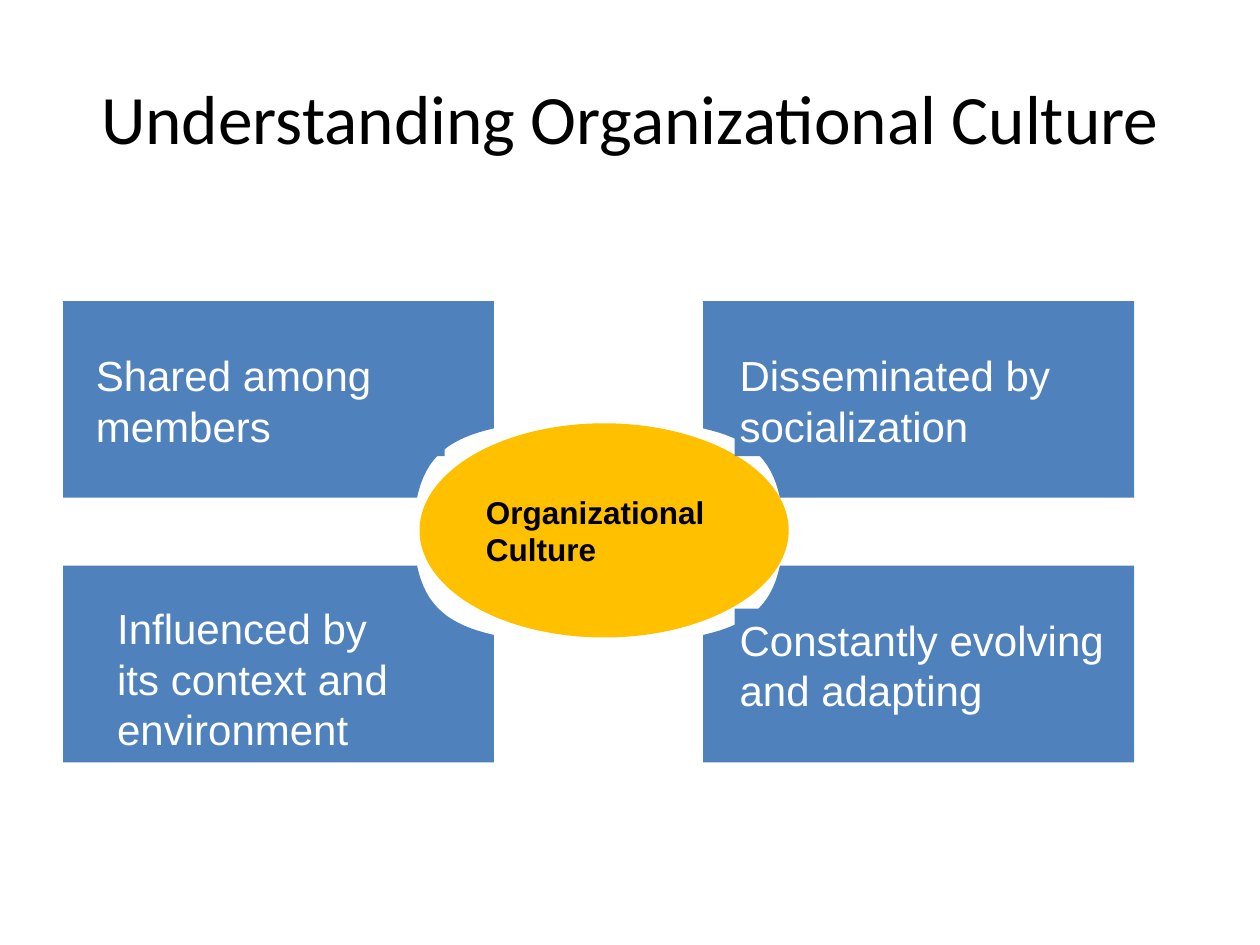
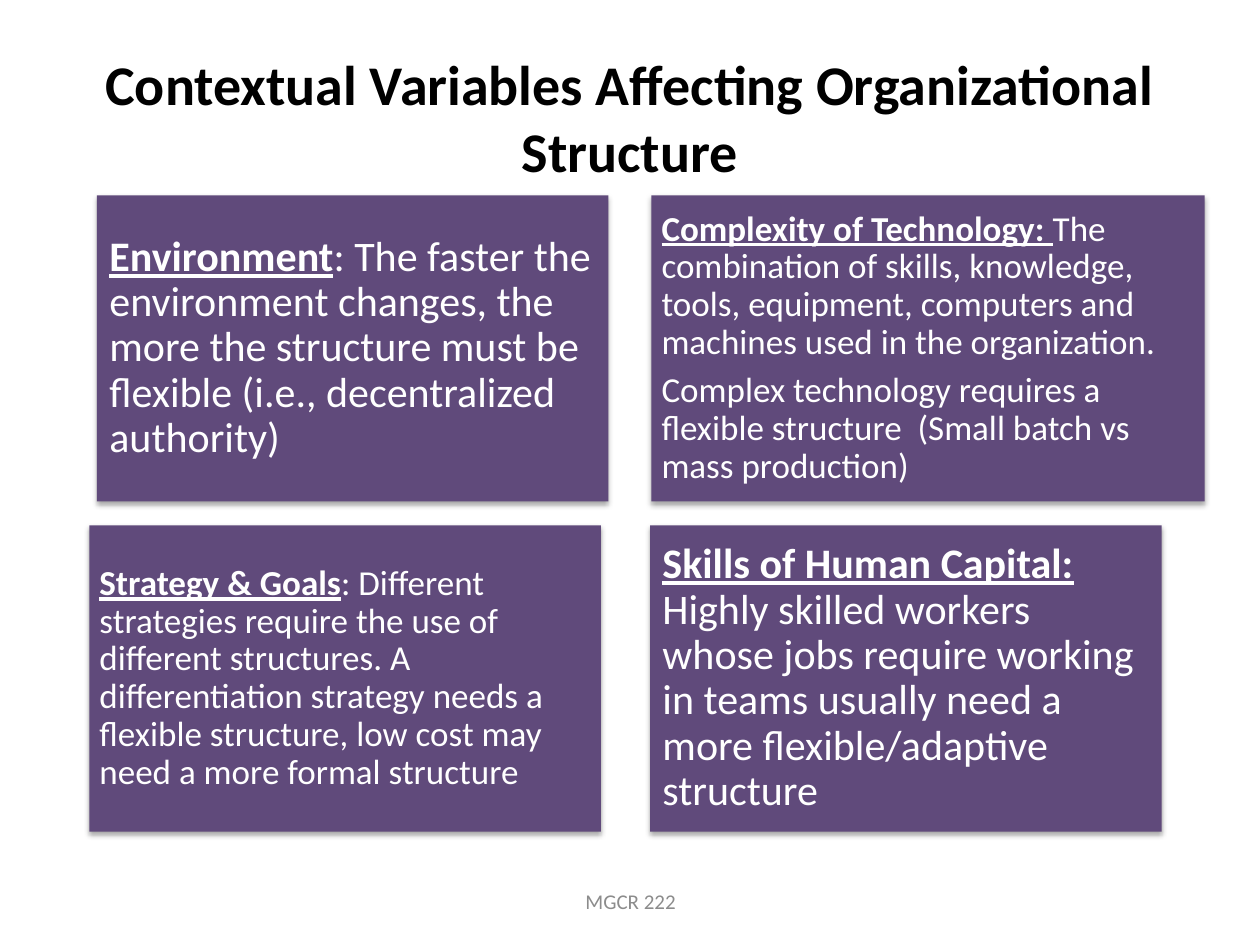
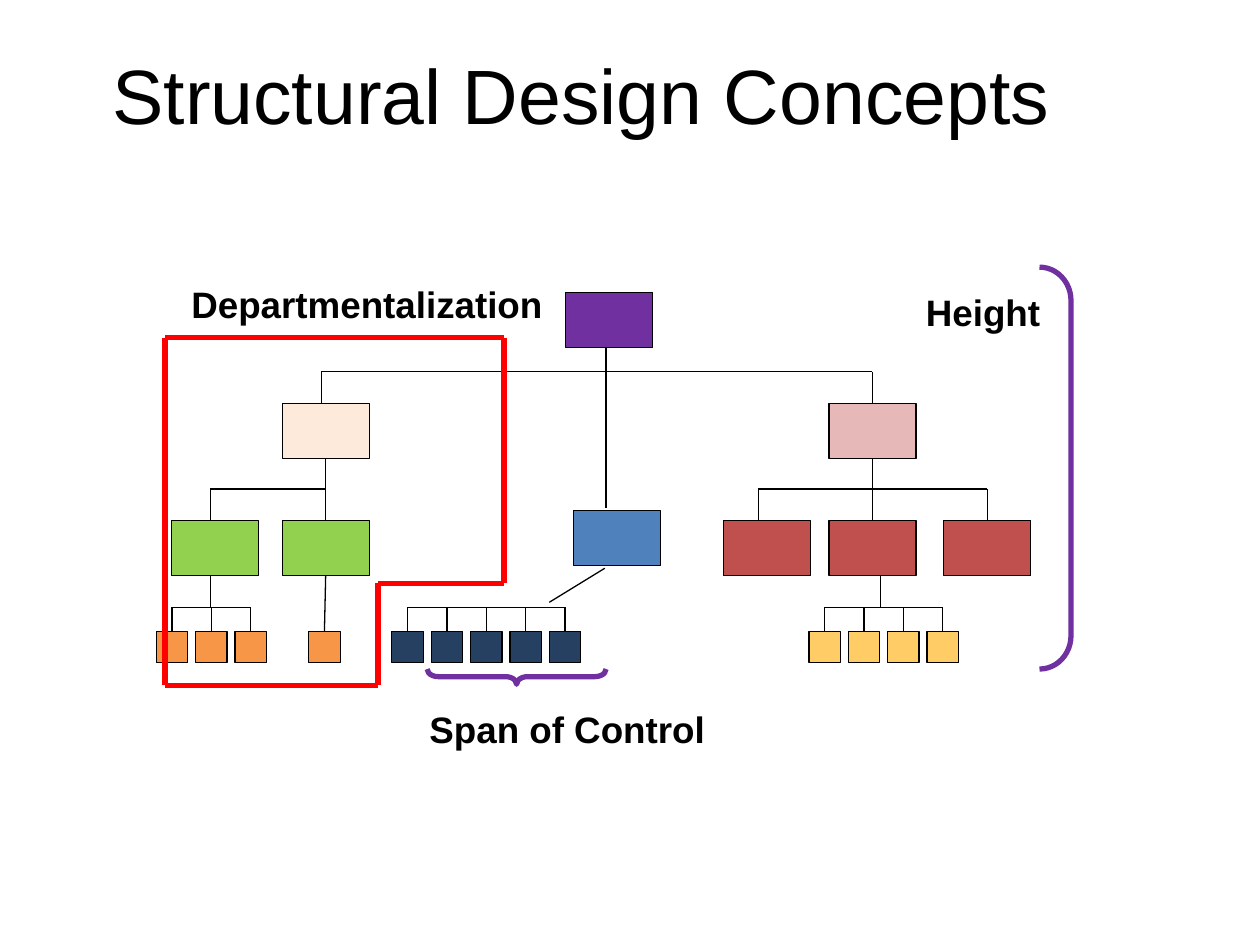
from dataclasses import dataclass
from itertools import pairwise

from lxml import etree
from pptx import Presentation
from pptx.dml.color import RGBColor
from pptx.enum.shapes import MSO_CONNECTOR, MSO_SHAPE
from pptx.enum.text import MSO_ANCHOR, MSO_AUTO_SIZE, PP_ALIGN
from pptx.oxml import parse_xml
from pptx.oxml.ns import nsdecls, qn
from pptx.presentation import Presentation as Deck
from pptx.shapes.autoshape import Shape
from pptx.shapes.base import BaseShape
from pptx.slide import Slide
from pptx.util import Inches, Pt

BLACK = RGBColor(0x00, 0x00, 0x00)
WHITE = RGBColor(0xFF, 0xFF, 0xFF)
GRAY = RGBColor(0x8C, 0x8C, 0x8C)
BLUE = RGBColor(0x4F, 0x81, 0xBD)
GOLD = RGBColor(0xFF, 0xC0, 0x00)
PLUM = RGBColor(0x60, 0x4A, 0x7B)
PURPLE = RGBColor(0x70, 0x30, 0xA0)
PEACH = RGBColor(0xFD, 0xEA, 0xDA)
PINK = RGBColor(0xE6, 0xB9, 0xB8)
GREEN = RGBColor(0x92, 0xD0, 0x50)
BRICK = RGBColor(0xC0, 0x50, 0x4D)
ORANGE = RGBColor(0xF7, 0x96, 0x46)
NAVY = RGBColor(0x25, 0x40, 0x61)
YELLOW = RGBColor(0xFF, 0xCC, 0x66)
RED = RGBColor(0xFF, 0x00, 0x00)

Point = tuple[float, float]
Box = tuple[float, float, float, float]
Paragraph = str | tuple[str, str]  # a pair is an underlined heading and its text

TITLE_BOX: Box = (0.5, 0.3, 9, 1.25)
TOP, BOTTOM = 0, 2  # connection sites of a rectangle


@dataclass(frozen=True)
class Trait:
    text: str
    box: Box


@dataclass(frozen=True)
class Variable:
    paragraphs: tuple[Paragraph, ...]
    box: Box
    size: int
    inset: float


@dataclass(frozen=True)
class Caption:
    text: str
    box: Box


TRAITS = (
    Trait("Shared among members", (0.72, 2.73, 2.81, 0.89)),
    Trait("Disseminated by socialization", (5.83, 2.73, 3.17, 0.89)),
    Trait("Constantly evolving and adapting", (5.83, 4.83, 3.17, 0.89)),
    Trait("Influenced by its context and environment", (0.89, 4.74, 2.44, 1.29)),
)

VARIABLES = (
    Variable(
        (("Environment", ": The faster the environment changes, the more the structure "
          "must be flexible (i.e., decentralized authority)"),),
        (0.77, 1.55, 4.06, 2.43), 24, 0.1),
    Variable(
        (("Strategy & Goals", ": Different strategies require the use of different "
          "structures. A differentiation strategy needs a flexible structure, low cost "
          "may need a more formal structure"),),
        (0.71, 4.17, 4.06, 2.43), 20, 0.08),
    Variable(
        (("Skills of Human Capital: ", "Highly skilled workers whose jobs require working "
          "in teams usually need a more flexible/adaptive structure"),),
        (5.16, 4.17, 4.06, 2.43), 24, 0.1),
    Variable(
        (("Complexity of Technology: ", "The combination of skills, knowledge, tools, "
          "equipment, computers and machines used in the organization."),
         "Complex technology requires a flexible structure  (Small batch vs mass production)"),
        (5.17, 1.55, 4.39, 2.43), 20, 0.08),
)

CAPTIONS = (
    Caption("Span of Control", (3.31, 5.56, 2.41, 0.45)),
    Caption("Height", (7.25, 2.25, 1.12, 0.45)),
    Caption("Departmentalization", (1.42, 2.19, 3.02, 0.45)),
)


def write(shape: BaseShape, *paragraphs: Paragraph, size: float, font: str = "Arial",
          color: RGBColor = BLACK, bold: bool = False, align: PP_ALIGN = PP_ALIGN.LEFT,
          anchor: MSO_ANCHOR = MSO_ANCHOR.MIDDLE, inset: float | None = None,
          wrap: bool = True, line_spacing: float | None = None, gap: float = 0) -> None:
    frame = shape.text_frame
    frame.word_wrap = wrap
    frame.auto_size = MSO_AUTO_SIZE.NONE
    frame.vertical_anchor = anchor
    if inset is not None:
        frame.margin_left = frame.margin_right = Inches(inset)
        frame.margin_top = frame.margin_bottom = Inches(inset)
    for index, content in enumerate(paragraphs):
        paragraph = frame.add_paragraph() if index else frame.paragraphs[0]
        paragraph.alignment = align
        if line_spacing:
            paragraph.line_spacing = line_spacing
        if index:
            paragraph.space_before = Pt(gap)
        heading, body = ("", content) if isinstance(content, str) else content
        for text, is_heading in ((heading, True), (body, False)):
            if not text:
                continue
            run = paragraph.add_run()
            run.text = text
            run.font.size = Pt(size)
            run.font.name = font
            run.font.color.rgb = color
            run.font.bold = bold or is_heading
            run.font.underline = is_heading


def place(shape: BaseShape, box: Box) -> None:
    shape.left, shape.top, shape.width, shape.height = (Inches(v) for v in box)


def titled_slide(deck: Deck, title: str, *, size: float, box: Box = TITLE_BOX,
                 font: str = "Calibri", bold: bool = False) -> Slide:
    slide = deck.slides.add_slide(deck.slide_layouts[5])
    place(slide.shapes.title, box)
    write(slide.shapes.title, title, size=size, font=font, bold=bold, align=PP_ALIGN.CENTER)
    return slide


def paint(shape: Shape, fill: RGBColor | None, line: RGBColor | None = None,
          width: float = 0.75) -> None:
    shape.shadow.inherit = False
    if fill is None:
        shape.fill.background()
    else:
        shape.fill.solid()
        shape.fill.fore_color.rgb = fill
    if line is None:
        shape.line.fill.background()
    else:
        shape.line.color.rgb = line
        shape.line.width = Pt(width)


def add_preset(slide: Slide, kind: MSO_SHAPE, box: Box, fill: RGBColor | None,
               line: RGBColor | None = None, width: float = 0.75) -> Shape:
    shape = slide.shapes.add_shape(kind, *(Inches(v) for v in box))
    paint(shape, fill, line, width)
    return shape


def add_text(slide: Slide, text: str, box: Box, **text_format) -> None:
    write(slide.shapes.add_textbox(*(Inches(v) for v in box)), text, **text_format)


def add_line(slide: Slide, start: Point, end: Point, color: RGBColor = BLACK,
             width: float = 0.75, above: Shape | None = None,
             below: Shape | None = None) -> None:
    """Draw a line, joined to the bottom of `above` and the top of `below` if given."""
    connector = slide.shapes.add_connector(
        MSO_CONNECTOR.STRAIGHT, *(Inches(v) for v in (*start, *end)))
    connector.line.color.rgb = color
    connector.line.width = Pt(width)
    etree.SubElement(connector._element.spPr, qn("a:effectLst"))
    if above is not None:
        connector.begin_connect(above, BOTTOM)
    if below is not None:
        connector.end_connect(below, TOP)


def center_x(box: Shape) -> float:
    return (box.left + box.width / 2) / Inches(1)


def drop(slide: Slide, rail_y: float, box: Shape) -> None:
    """Hang a box from a horizontal rail."""
    x = center_x(box)
    add_line(slide, (x, rail_y), (x, rail_y), below=box)


def join(slide: Slide, above: Shape, below: Shape) -> None:
    add_line(slide, (0, 0), (0, 0), above=above, below=below)


def bezier(a: Point, b: Point, c: Point, d: Point, steps: int = 16) -> list[Point]:
    points = []
    for step in range(steps + 1):
        t = step / steps
        weights = ((1 - t) ** 3, 3 * t * (1 - t) ** 2, 3 * t * t * (1 - t), t ** 3)
        x, y = (sum(w * p[axis] for w, p in zip(weights, (a, b, c, d))) for axis in (0, 1))
        points.append((x, y))
    return points


def add_notched_panel(slide: Slide, side: int, level: int) -> None:
    """Draw one quadrant panel; side and level are -1 or 1 about the centre."""
    middle_x, middle_y = 4.75, 4.22
    notch = bezier((0.83, 0.82), (1.18, 0.74), (1.37, 0.6), (1.44, 0.27))
    outline = [(4.25, 0.27), (4.25, 1.83), (0.83, 1.83), *notch]
    points = [(Inches(middle_x + side * x), Inches(middle_y + level * y)) for x, y in outline]
    builder = slide.shapes.build_freeform(*points[0])
    builder.add_line_segments(points[1:], close=True)
    paint(builder.convert_to_shape(), BLUE)


def add_soft_shadow(shape: Shape) -> None:
    effects = shape._element.spPr.find(qn("a:effectLst"))
    effects.append(parse_xml(
        f'<a:outerShdw {nsdecls("a")} blurRad="40000" dist="23000" dir="5400000" '
        'rotWithShape="0"><a:srgbClr val="000000"><a:alpha val="35000"/></a:srgbClr>'
        '</a:outerShdw>'))


def build_culture(deck: Deck) -> None:
    slide = titled_slide(deck, "Understanding Organizational Culture", size=39.6)
    core = add_preset(slide, MSO_SHAPE.OVAL, (3.33, 3.36, 2.93, 1.7), GOLD)
    write(core, "Organizational Culture", size=18, bold=True)
    for level in (-1, 1):
        for side in (-1, 1):
            add_notched_panel(slide, side, level)
    for trait in TRAITS:
        label = add_preset(slide, MSO_SHAPE.RECTANGLE, trait.box, BLUE)
        write(label, trait.text, size=24, color=WHITE, inset=0.04)


def build_variables(deck: Deck) -> None:
    slide = titled_slide(deck, "Contextual Variables Affecting Organizational Structure",
                         size=32, bold=True)
    for variable in VARIABLES:
        card = add_preset(slide, MSO_SHAPE.RECTANGLE, variable.box, PLUM)
        add_soft_shadow(card)
        write(card, *variable.paragraphs, size=variable.size, font="Calibri", color=WHITE,
              inset=variable.inset, line_spacing=0.9, gap=6)
    add_text(slide, "MGCR 222", (3.42, 6.95, 3.17, 0.4), size=12, font="Calibri",
             color=GRAY, align=PP_ALIGN.CENTER)


def add_unit(slide: Slide, left: float, top: float, fill: RGBColor) -> Shape:
    return add_preset(slide, MSO_SHAPE.RECTANGLE, (left, top, 0.69, 0.44), fill, BLACK)


def add_staff(slide: Slide, left: float, count: int, fill: RGBColor) -> list[Shape]:
    pitch, side = 0.3125, 0.25
    return [add_preset(slide, MSO_SHAPE.RECTANGLE,
                       (left + i * pitch, 5.01, side, side), fill, BLACK)
            for i in range(count)]


def add_org_chart(slide: Slide) -> None:
    division_y, team_y = 3.2, 4.13
    upper_rail, middle_rail, staff_rail = 2.95, 3.88, 4.82
    add_unit(slide, 4.49, 2.32, PURPLE)
    left_division = add_unit(slide, 2.24, division_y, PEACH)
    right_division = add_unit(slide, 6.58, division_y, PINK)
    _, green_team = [add_unit(slide, x, team_y, GREEN) for x in (1.36, 2.24)]
    add_unit(slide, 4.55, 4.05, BLUE)
    _, middle_brick, right_brick = [add_unit(slide, x, team_y, BRICK)
                                    for x in (5.74, 6.58, 7.49)]
    orange_staff = add_staff(slide, 1.24, 3, ORANGE)
    lone_staff = add_staff(slide, 2.45, 1, ORANGE)[0]
    navy_staff = add_staff(slide, 3.11, 5, NAVY)
    yellow_staff = add_staff(slide, 6.42, 4, YELLOW)

    for staff in (orange_staff, navy_staff, yellow_staff):
        add_line(slide, (center_x(staff[0]), staff_rail), (center_x(staff[-1]), staff_rail))
        for member in staff:
            drop(slide, staff_rail, member)
    join(slide, left_division, green_team)
    join(slide, right_division, middle_brick)
    join(slide, green_team, lone_staff)
    drop(slide, upper_rail, right_division)
    drop(slide, middle_rail, right_brick)

    free_lines = (
        ((2.55, upper_rail), (6.92, upper_rail)),
        ((2.55, upper_rail), (2.55, division_y)),
        ((4.81, 2.75), (4.81, 4.03)),
        ((1.67, middle_rail), (2.58, middle_rail)),
        ((1.67, middle_rail), (1.67, team_y)),
        ((6.02, middle_rail), (7.83, middle_rail)),
        ((6.02, middle_rail), (6.02, team_y)),
        ((1.67, 4.57), (1.67, staff_rail)),
        ((4.8, 4.51), (4.36, 4.78)),
        ((6.99, 4.57), (6.99, staff_rail)),
    )
    for start, end in free_lines:
        add_line(slide, start, end)


def build_structure(deck: Deck) -> None:
    slide = titled_slide(deck, "Structural Design Concepts", size=44, font="Arial",
                         box=(0.38, 0.27, 8.47, 0.94))
    add_org_chart(slide)

    for caption in CAPTIONS:
        add_text(slide, caption.text, caption.box, size=21, bold=True, wrap=False,
                 anchor=MSO_ANCHOR.TOP)
    span = add_preset(slide, MSO_SHAPE.LEFT_BRACE, (4.04, 4.66, 0.12, 1.42),
                      None, PURPLE, 3)
    span.rotation = 270
    span.adjustments[0] = 0.729
    height = add_preset(slide, MSO_SHAPE.RIGHT_BRACKET, (8.25, 2.12, 0.25, 3.19),
                        None, PURPLE, 3)
    height.adjustments[0] = 1.062

    department = ((1.31, 5.44), (3, 5.44), (3, 4.63), (4, 4.63), (4, 2.68),
                  (1.31, 2.68), (1.31, 5.44))
    for start, end in pairwise(department):
        add_line(slide, start, end, RED, 3)


def main() -> None:
    deck = Presentation()
    deck.slide_width, deck.slide_height = Inches(10), Inches(7.5)
    build_culture(deck)
    build_variables(deck)
    build_structure(deck)
    deck.save("out.pptx")


if __name__ == "__main__":
    main()
